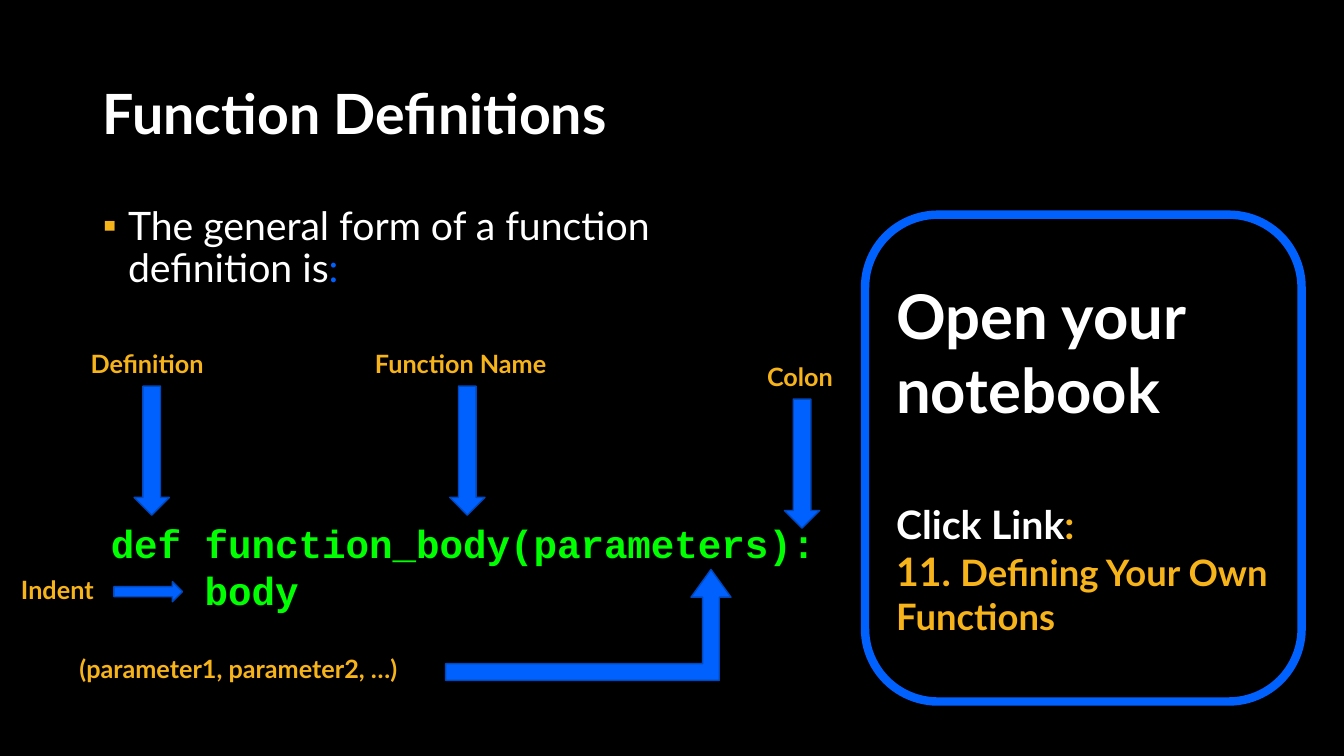
from lxml import etree
from pptx import Presentation
from pptx import util as u
from pptx.dml.color import RGBColor
from pptx.enum import shapes, text
from pptx.oxml import ns

BLACK = RGBColor(0x00, 0x00, 0x00)
WHITE = RGBColor(0xFF, 0xFF, 0xFF)
GOLD = RGBColor(0xF7, 0xB4, 0x1A)
BLUE = RGBColor(0x00, 0x61, 0xFF)
DARK_BLUE = RGBColor(0x00, 0x48, 0xBD)
GREEN = RGBColor(0x00, 0xFF, 0x00)


class SlideBuilder:
    font = "Lato"
    code_font = "Courier New"

    def __init__(self, slide):
        self.slide = slide
        slide.background.fill.solid()
        slide.background.fill.fore_color.rgb = BLACK

    def place(self, shape, left, top, width, height):
        shape.left, shape.top = u.Inches(left), u.Inches(top)
        shape.width, shape.height = u.Inches(width), u.Inches(height)

    def add_run(self, paragraph, words, size, color, bold=True, font=None):
        run = paragraph.add_run()
        run.text = words
        run.font.name = font or self.font
        run.font.size = u.Pt(size)
        run.font.bold = bold
        run.font.color.rgb = color

    def title(self, words, *box):
        shape = self.slide.shapes.title
        self.place(shape, *box)
        shape.text_frame.vertical_anchor = text.MSO_ANCHOR.MIDDLE
        paragraph = shape.text_frame.paragraphs[0]
        paragraph.alignment = text.PP_ALIGN.LEFT
        paragraph.line_spacing = 0.9
        self.add_run(paragraph, words, 39.6, WHITE)

    def bullet(self, runs, *box):
        shape = self.slide.placeholders[1]
        self.place(shape, *box)
        paragraph = shape.text_frame.paragraphs[0]
        paragraph.line_spacing = 0.9
        paragraph.space_before = u.Pt(0)
        properties = paragraph._p.get_or_add_pPr()
        properties.set("marL", str(u.Inches(0.25)))
        properties.set("indent", str(-u.Inches(0.25)))
        bullet_color = etree.SubElement(properties, ns.qn("a:buClr"))
        etree.SubElement(bullet_color, ns.qn("a:srgbClr"), val=str(GOLD))
        etree.SubElement(properties, ns.qn("a:buFont"), typeface="Arial")
        etree.SubElement(properties, ns.qn("a:buChar"), char="▪")
        for words, color in runs:
            self.add_run(paragraph, words, 28, color, bold=False)

    def text_box(self, lines, box, size, color, font=None):
        shape = self.slide.shapes.add_textbox(*map(u.Inches, box))
        frame = shape.text_frame
        frame.word_wrap = False
        frame.auto_size = text.MSO_AUTO_SIZE.SHAPE_TO_FIT_TEXT
        for index, line in enumerate(lines):
            paragraph = frame.add_paragraph() if index else frame.paragraphs[0]
            self.add_run(paragraph, line, size, color, font=font)

    def label(self, words, left, top, width):
        self.text_box([words], (left, top, width, 0.4), 18, GOLD)

    def code(self, lines, *box):
        self.text_box(lines, box, 28, GREEN, self.code_font)

    def arrow(self, kind, box, adjustments=()):
        shape = self.slide.shapes.add_shape(kind, *map(u.Inches, box))
        shape.shadow.inherit = False
        shape.fill.solid()
        shape.fill.fore_color.rgb = BLUE
        shape.line.color.rgb = DARK_BLUE
        shape.line.width = u.Pt(1)
        for index, value in enumerate(adjustments):
            shape.adjustments[index] = value

    def panel(self, paragraphs, *box):
        """Draw a rounded frame; each paragraph is (space before, runs)."""
        shape = self.slide.shapes.add_shape(
            shapes.MSO_SHAPE.ROUNDED_RECTANGLE, *map(u.Inches, box))
        shape.shadow.inherit = False
        shape.fill.background()
        shape.line.color.rgb = BLUE
        shape.line.width = u.Pt(6)
        frame = shape.text_frame
        frame.word_wrap = True
        frame.vertical_anchor = text.MSO_ANCHOR.MIDDLE
        for index, (space, runs) in enumerate(paragraphs):
            paragraph = frame.add_paragraph() if index else frame.paragraphs[0]
            paragraph.alignment = text.PP_ALIGN.LEFT
            paragraph.space_before = u.Pt(space)
            for words, size, color in runs:
                self.add_run(paragraph, words, size, color)


def main():
    presentation = Presentation()
    presentation.slide_width = u.Inches(13.33)
    presentation.slide_height = u.Inches(7.5)
    builder = SlideBuilder(
        presentation.slides.add_slide(presentation.slide_layouts[1]))

    builder.title("Function Definitions", 0.92, 0.8, 11.5, 0.72)
    builder.bullet([("The general form of a function definition is", WHITE),
                    (":", BLUE)], 0.92, 2, 5.75, 5.29)
    builder.code(["def function_body(parameters):", "    body"],
                 1, 5.1, 7.25, 1.04)

    builder.label("Indent", 0.11, 5.65, 0.98)
    builder.arrow(shapes.MSO_SHAPE.RIGHT_ARROW, (1.13, 5.77, 0.68, 0.2))

    for words, left, top, width, arrow_left in [
            ("Definition", 0.8, 3.41, 1.39, 1.33),
            ("Function Name", 3.62, 3.41, 2.08, 4.46),
            ("Colon", 7.51, 3.54, 0.89, 7.78)]:
        builder.label(words, left, top, width)
        builder.arrow(shapes.MSO_SHAPE.DOWN_ARROW,
                      (arrow_left, top + 0.42, 0.35, 1.28))

    builder.label("(parameter1, parameter2, …)", 0.69, 6.43, 3.64)
    builder.arrow(shapes.MSO_SHAPE.BENT_UP_ARROW, (4.42, 5.65, 2.83, 1.1),
                  (0.15, 0.18, 0.25))

    builder.panel([
        (0, [("Open your notebook", 44, WHITE)]),
        (53, [("Click Link", 28, WHITE), (":", 28, GOLD)]),
        (0, [("11. ", 28, GOLD), ("Defining Your Own Functions", 26, GOLD)]),
    ], 8.58, 2.13, 4.33, 4.83)

    presentation.save("out.pptx")


if __name__ == "__main__":
    main()
